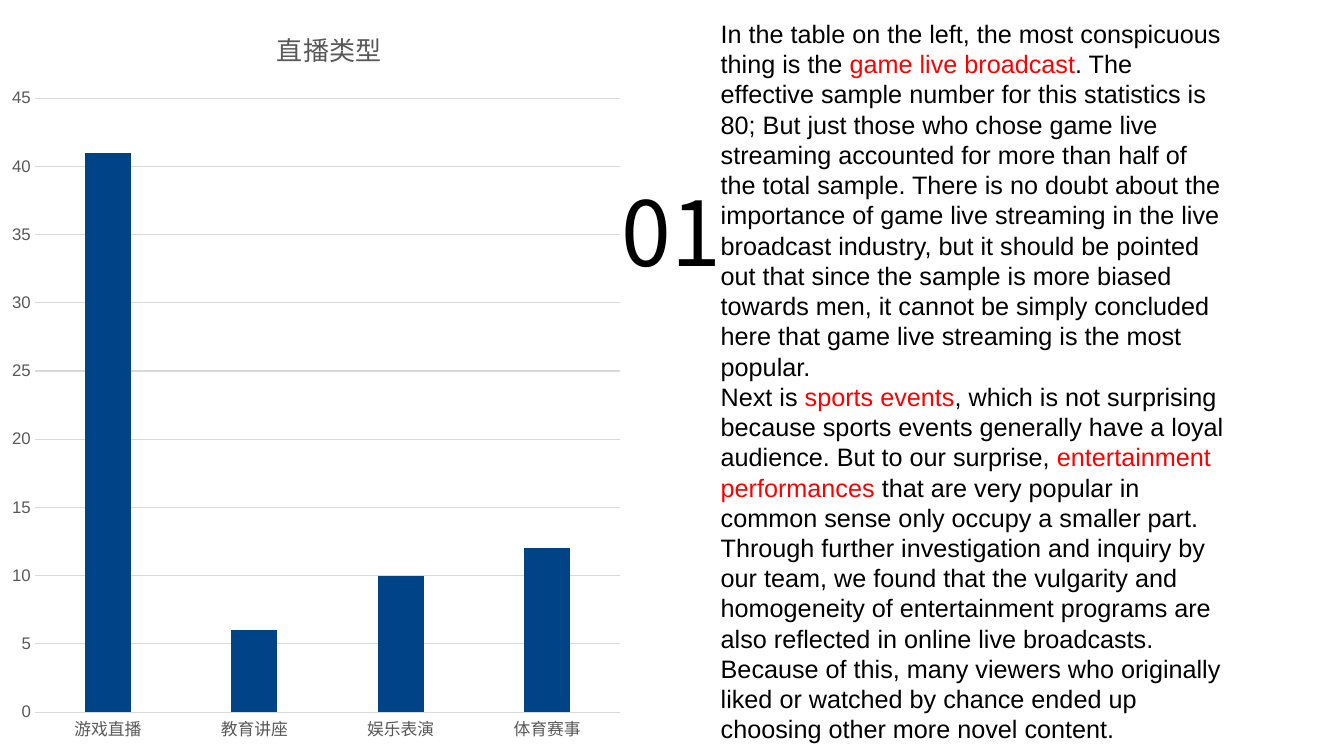
import dataclasses

import pptx
import pptx.chart.data
import pptx.dml.color
import pptx.enum.chart
import pptx.enum.text
import pptx.oxml
import pptx.oxml.ns
import pptx.util

Pt = pptx.util.Pt
RGBColor = pptx.dml.color.RGBColor
qn = pptx.oxml.ns.qn


@dataclasses.dataclass(frozen=True)
class Theme:
    font: str = "Arial"
    number_font: str = "Noto Sans CJK SC"
    text: RGBColor = RGBColor(0, 0, 0)
    highlight: RGBColor = RGBColor(0xFF, 0, 0)
    bar: RGBColor = RGBColor(0, 0x44, 0x87)
    label: RGBColor = RGBColor(0x59, 0x59, 0x59)
    grid: RGBColor = RGBColor(0xD9, 0xD9, 0xD9)
    number_size: int = 64
    body_size: int = 18
    body_line: float = 21.6
    chart_title_size: float = 18.6
    axis_size: int = 12


THEME = Theme()

VOTES = {"游戏直播": 41, "教育讲座": 6, "娱乐表演": 10, "体育赛事": 12}

# Each paragraph is a list of (text, is highlighted) pairs.
FINDINGS = [
    [
        ("In the table on the left, the most conspicuous thing is the ", False),
        ("game live broadcast", True),
        (". The effective sample number for this statistics is 80; But just those "
         "who chose game live streaming accounted for more than half of the total "
         "sample. There is no doubt about the importance of game live streaming in "
         "the live broadcast industry, but it should be pointed out that since the "
         "sample is more biased towards men, it cannot be simply concluded here "
         "that game live streaming is the most popular.", False),
    ],
    [
        ("Next is ", False),
        ("sports events", True),
        (", which is not surprising because sports events generally have a loyal "
         "audience. But to our surprise, ", False),
        ("entertainment performances ", True),
        ("that are very popular in common sense only occupy a smaller part. Through "
         "further investigation and inquiry by our team, we found that the vulgarity "
         "and homogeneity of entertainment programs are also reflected in online "
         "live broadcasts. Because of this, many viewers who originally liked or "
         "watched by chance ended up choosing other more novel content.", False),
    ],
]


def place(shape, left, top, width, height):
    shape.left, shape.top = Pt(left), Pt(top)
    shape.width, shape.height = Pt(width), Pt(height)


def style_font(font, size, color, name=THEME.font):
    font.name = name
    font.size = Pt(size)
    font.color.rgb = color


def set_layout(element, position, target=None, **fractions):
    """Give a chart part a manual layout in fractions of the chart area."""
    for old in element.findall(qn("c:layout")):
        element.remove(old)
    layout = pptx.oxml.parse_xml(
        '<c:layout xmlns:c="http://schemas.openxmlformats.org/drawingml/2006/chart">'
        "<c:manualLayout/></c:layout>"
    )
    settings = {"layoutTarget": target} if target else {}
    settings.update(xMode="edge", yMode="edge", **fractions)
    for tag, value in settings.items():
        child = layout[0].makeelement(qn(f"c:{tag}"), {"val": str(value)})
        layout[0].append(child)
    element.insert(position, layout)


def style_axis(axis):
    axis.major_tick_mark = pptx.enum.chart.XL_TICK_MARK.NONE
    axis.minor_tick_mark = pptx.enum.chart.XL_TICK_MARK.NONE
    style_font(axis.tick_labels.font, THEME.axis_size, THEME.label)


def style_line(line):
    line.color.rgb = THEME.grid
    line.width = Pt(0.75)


def add_vote_chart(slide):
    data = pptx.chart.data.CategoryChartData()
    data.categories = list(VOTES)
    data.add_series("Series 1", list(VOTES.values()))
    chart = slide.shapes.add_chart(
        pptx.enum.chart.XL_CHART_TYPE.COLUMN_CLUSTERED,
        Pt(0), Pt(0), Pt(452.2), Pt(540), data,
    ).chart
    style_font(chart.font, 10, THEME.text)
    chart.has_legend = False

    chart.has_title = True
    title_run = chart.chart_title.text_frame.paragraphs[0].add_run()
    title_run.text = "直播类型"
    title_run.font.bold = False
    style_font(title_run.font, THEME.chart_title_size, THEME.label)

    plot = chart.plots[0]
    plot.gap_width, plot.overlap = 219, -27
    plot.vary_by_categories = False
    fill = plot.series[0].format.fill
    fill.solid()
    fill.fore_color.rgb = THEME.bar

    style_axis(chart.category_axis)
    style_line(chart.category_axis.format.line)
    value_axis = chart.value_axis
    style_axis(value_axis)
    value_axis.format.line.fill.background()
    value_axis.minimum_scale, value_axis.maximum_scale = 0, 45
    value_axis.major_unit = 5
    style_line(value_axis.major_gridlines.format.line)

    chart_element = chart.element.find(qn("c:chart"))
    set_layout(chart_element.find(qn("c:title")), 1, x=0.43, y=0.03)
    set_layout(chart_element.find(qn("c:plotArea")), 0, "inner",
               x=0.055, y=0.13, w=0.925, h=0.812)


def fill_number(title):
    place(title, 444, 126.5, 72, 93)
    frame = title.text_frame
    frame.margin_left = frame.margin_right = frame.margin_top = frame.margin_bottom = 0
    frame.word_wrap = False
    frame.auto_size = pptx.enum.text.MSO_AUTO_SIZE.NONE
    frame.vertical_anchor = pptx.enum.text.MSO_ANCHOR.TOP
    paragraph = frame.paragraphs[0]
    paragraph.alignment = pptx.enum.text.PP_ALIGN.LEFT
    run = paragraph.add_run()
    run.text = "01"
    style_font(run.font, THEME.number_size, THEME.text, THEME.number_font)


def remove_bullet(paragraph):
    properties = paragraph._p.get_or_add_pPr()
    properties.set("marL", "0")
    properties.set("indent", "0")
    properties.append(properties.makeelement(qn("a:buNone"), {}))


def fill_findings(body):
    place(body, 507.6, 9.4, 375.8, 530.6)
    frame = body.text_frame
    frame.word_wrap = True
    frame.auto_size = pptx.enum.text.MSO_AUTO_SIZE.SHAPE_TO_FIT_TEXT
    frame.vertical_anchor = pptx.enum.text.MSO_ANCHOR.TOP
    for index, pieces in enumerate(FINDINGS):
        paragraph = frame.add_paragraph() if index else frame.paragraphs[0]
        paragraph.space_before = paragraph.space_after = Pt(0)
        paragraph.line_spacing = Pt(THEME.body_line)
        remove_bullet(paragraph)
        for text, highlighted in pieces:
            run = paragraph.add_run()
            run.text = text
            color = THEME.highlight if highlighted else THEME.text
            style_font(run.font, THEME.body_size, color)


def main():
    presentation = pptx.Presentation()
    presentation.slide_width, presentation.slide_height = Pt(960), Pt(540)
    slide = presentation.slides.add_slide(presentation.slide_layouts[1])
    add_vote_chart(slide)
    fill_number(slide.shapes.title)
    fill_findings(slide.placeholders[1])
    presentation.save("out.pptx")


if __name__ == "__main__":
    main()
